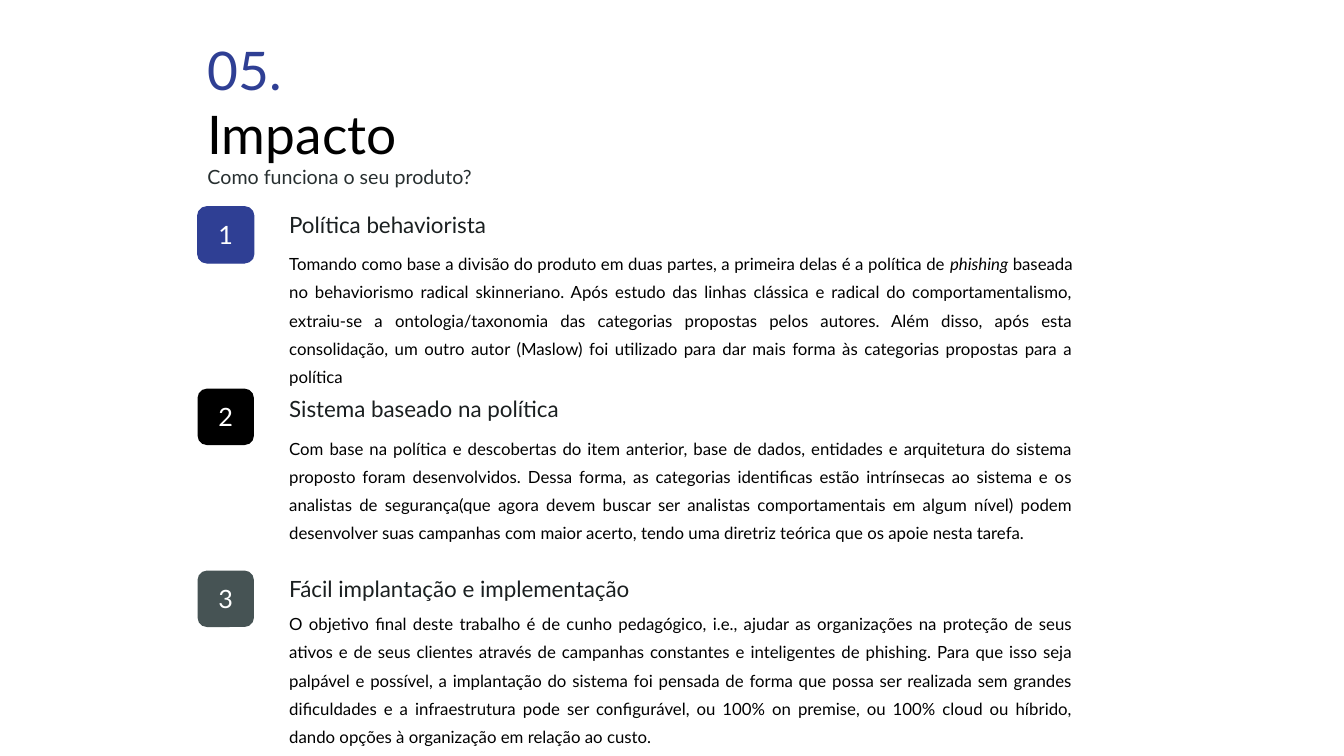
from pptx import Presentation
from pptx.dml.color import RGBColor
from pptx.enum.shapes import MSO_SHAPE
from pptx.enum.text import MSO_ANCHOR, MSO_AUTO_SIZE, PP_ALIGN
from pptx.util import Inches, Pt

COLORS = {
    "blue": "2F3F94",
    "black": "000000",
    "slate": "465354",
    "heading": "1A1F20",
    "subtitle": "272F30",
    "white": "FFFFFF",
}

BADGE_LEFT, BADGE_WIDTH, BADGE_HEIGHT = 14.7, 4.2, 7.47
FIRST_BADGE_TOP, BADGE_STEP = 27.33, 24.07
TEXT_LEFT, BODY_WIDTH, BODY_HEIGHT = 20.78, 59.78, 20.13
HEADING_HEIGHT = 4.93

TOPICS = [
    {
        "heading": "Política behaviorista",
        "color": "blue",
        "outline": "blue",
        "heading_top": 27.33,
        "heading_width": 23.7,
        "body_top": 31.87,
        "body": [
            ("Tomando como base a divisão do produto em duas partes, a primeira delas é a "
             "política de ", False),
            ("phishing", True),
            (" baseada no behaviorismo radical skinneriano. Após estudo das linhas clássica "
             "e radical do comportamentalismo, extraiu-se a ontologia/taxonomia das "
             "categorias propostas pelos autores. Além disso, após esta consolidação, um "
             "outro autor (Maslow) foi utilizado para dar mais forma às categorias "
             "propostas para a política", False),
        ],
    },
    {
        "heading": "Sistema baseado na política",
        "color": "black",
        "outline": None,
        "heading_top": 51.6,
        "heading_width": 23.7,
        "body_top": 56.27,
        "body": [
            ("Com base na política e descobertas do item anterior, base de dados, entidades "
             "e arquitetura do sistema proposto foram desenvolvidos. Dessa forma, as "
             "categorias identificas estão intrínsecas ao sistema e os analistas de "
             "segurança(que agora devem buscar ser analistas comportamentais em algum "
             "nível) podem desenvolver suas campanhas com maior acerto, tendo uma diretriz "
             "teórica que os apoie nesta tarefa.", False),
        ],
    },
    {
        "heading": "Fácil implantação e implementação",
        "color": "slate",
        "outline": None,
        "heading_top": 75.47,
        "heading_width": 29.85,
        "body_top": 79.47,
        "body": [
            ("O objetivo final deste trabalho é de cunho pedagógico, i.e., ajudar as "
             "organizações na proteção de seus ativos e de seus clientes através de "
             "campanhas constantes e inteligentes de phishing. Para que isso seja palpável "
             "e possível, a implantação do sistema foi pensada de forma que possa ser "
             "realizada sem grandes dificuldades e a infraestrutura pode ser configurável, "
             "ou 100% on premise, ou 100% cloud ou híbrido, dando opções à organização em "
             "relação ao custo.", False),
        ],
    },
]


class SlideBuilder:
    font = "Lato"

    def __init__(self, deck):
        self.deck = deck
        self.page = deck.slides.add_slide(deck.slide_layouts[6])

    def area(self, left, top, width, height):
        across, down = self.deck.slide_width / 100, self.deck.slide_height / 100
        return [int(left * across), int(top * down), int(width * across), int(height * down)]

    def color(self, name):
        return RGBColor.from_string(COLORS[name])

    def style(self, para, size, color):
        for span in para.runs:
            span.font.name = self.font
            span.font.size = Pt(size)
            span.font.color.rgb = self.color(color)

    def text_box(self, left, top, width, height):
        box = self.page.shapes.add_textbox(*self.area(left, top, width, height))
        box.text_frame.word_wrap = True
        box.text_frame.auto_size = MSO_AUTO_SIZE.SHAPE_TO_FIT_TEXT
        return box.text_frame

    def lines(self, area, rows):
        frame = self.text_box(*area)
        frame.text = "\n".join(text for text, size, color in rows)
        for para, (text, size, color) in zip(frame.paragraphs, rows):
            self.style(para, size, color)

    def body(self, area, parts):
        para = self.text_box(*area).paragraphs[0]
        para.alignment = PP_ALIGN.JUSTIFY
        para.line_spacing = 1.4
        for text, italic in parts:
            span = para.add_run()
            span.text = text
            span.font.italic = italic
        self.style(para, 12, "black")

    def badge(self, area, number, color, outline):
        box = self.page.shapes.add_shape(MSO_SHAPE.ROUNDED_RECTANGLE, *self.area(*area))
        box.shadow.inherit = False
        box.fill.solid()
        box.fill.fore_color.rgb = self.color(color)
        if outline:
            box.line.color.rgb = self.color(outline)
            box.line.width = Pt(0.75)
        else:
            box.line.fill.background()
        frame = box.text_frame
        frame.text = str(number)
        frame.vertical_anchor = MSO_ANCHOR.MIDDLE
        para = frame.paragraphs[0]
        para.alignment = PP_ALIGN.CENTER
        self.style(para, 18, "white")


def main():
    deck = Presentation()
    deck.slide_width, deck.slide_height = Inches(13.33), Inches(7.5)
    builder = SlideBuilder(deck)

    for index, topic in enumerate(TOPICS):
        badge_top = FIRST_BADGE_TOP + index * BADGE_STEP
        builder.badge((BADGE_LEFT, badge_top, BADGE_WIDTH, BADGE_HEIGHT),
                      index + 1, topic["color"], topic["outline"])
        builder.lines((TEXT_LEFT, topic["heading_top"], topic["heading_width"], HEADING_HEIGHT),
                      [(topic["heading"], 16, "heading")])
        builder.body((TEXT_LEFT, topic["body_top"], BODY_WIDTH, BODY_HEIGHT), topic["body"])

    builder.lines((BADGE_LEFT, 4.27, 24.83, 21.6), [
        ("05.", 38, "blue"),
        ("Impacto", 38, "black"),
        ("Como funciona o seu produto?", 14, "subtitle"),
    ])
    deck.save("out.pptx")


if __name__ == "__main__":
    main()
